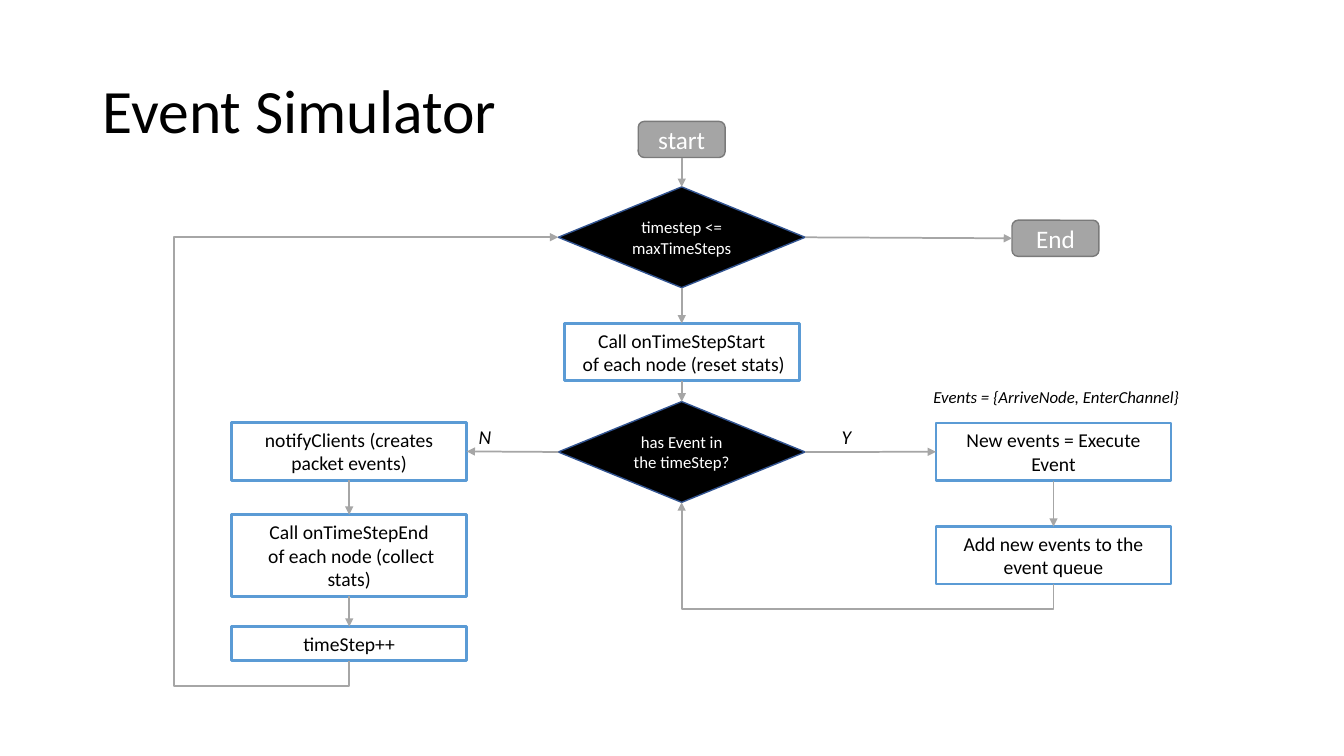
"""Build the Event Simulator flowchart slide."""
from dataclasses import dataclass

import lxml.etree
import pptx
import pptx.dml.color
import pptx.enum.shapes
import pptx.enum.text
import pptx.oxml.ns
import pptx.util

Cm = pptx.util.Cm
SHAPES = pptx.enum.shapes.MSO_SHAPE
CONNECTORS = pptx.enum.shapes.MSO_CONNECTOR
ALIGN = pptx.enum.text.PP_ALIGN
TOP, LEFT, BOTTOM, RIGHT = range(4)


@dataclass(frozen=True)
class Theme:
    """Hold the colours, font and type sizes."""
    font: str = "Calibri"
    dark: str = "000000"
    light: str = "FFFFFF"
    step_line: str = "5B9BD5"
    decision_line: str = "325491"
    terminal: str = "A5A5A5"
    terminal_line: str = "7A7A7A"
    arrow: str = "A6A6A6"
    title_size: int = 44
    terminal_size: int = 18
    step_size: int = 14
    small_size: int = 12


class Flowchart:
    """Draw flowchart elements on one slide in one style."""

    def __init__(self, slide, theme):
        self.slide = slide
        self.theme = theme

    def color(self, value):
        """Return an RGB colour."""
        return pptx.dml.color.RGBColor.from_string(value)

    def set_text(self, frame, text, size, color, align, italic=False):
        """Set and format text."""
        frame.text = text
        frame.word_wrap = True
        for paragraph in frame.paragraphs:
            paragraph.alignment = align
            for run in paragraph.runs:
                run.font.name = self.theme.font
                run.font.size = pptx.util.Pt(size)
                run.font.color.rgb = self.color(color)
                run.font.italic = italic

    def title(self, text, left, top, width, height):
        """Fill and place the title placeholder."""
        heading = self.slide.shapes.title
        heading.left, heading.top = Cm(left), Cm(top)
        heading.width, heading.height = Cm(width), Cm(height)
        self.set_text(heading.text_frame, text, self.theme.title_size, self.theme.dark, ALIGN.LEFT)
        heading.text_frame.vertical_anchor = pptx.enum.text.MSO_ANCHOR.MIDDLE
        heading.text_frame.paragraphs[0].line_spacing = 0.9

    def node(self, kind, text, center, top, size, fill, line, line_width, font_size, color):
        """Draw a node centred on a column."""
        width, height = size
        node = self.slide.shapes.add_shape(
            kind, Cm(center - width / 2), Cm(top), Cm(width), Cm(height))
        node.shadow.inherit = False
        node.fill.solid()
        node.fill.fore_color.rgb = self.color(fill)
        node.line.color.rgb = self.color(line)
        node.line.width = pptx.util.Pt(line_width)
        self.set_text(node.text_frame, text, font_size, color, ALIGN.CENTER)
        return node

    def step(self, text, center, top, height=1.45):
        """Draw a process box."""
        theme = self.theme
        return self.node(SHAPES.RECTANGLE, text, center, top, (5.92, height), theme.light,
                         theme.step_line, 2, theme.step_size, theme.dark)

    def decision(self, text, center, top):
        """Draw a decision diamond."""
        theme = self.theme
        return self.node(SHAPES.DIAMOND, text, center, top, (6.22, 2.54), theme.dark,
                         theme.decision_line, 1, theme.small_size, theme.light)

    def terminal(self, text, center, top):
        """Draw a start or end node."""
        theme = self.theme
        return self.node(SHAPES.ROUNDED_RECTANGLE, text, center, top, (2.19, 0.91), theme.terminal,
                         theme.terminal_line, 1, theme.terminal_size, theme.light)

    def label(self, text, left, top, width, height, size):
        """Add an italic label."""
        box = self.slide.shapes.add_textbox(Cm(left), Cm(top), Cm(width), Cm(height))
        self.set_text(box.text_frame, text, size, self.theme.dark, ALIGN.LEFT, italic=True)

    def style_arrow(self, connector):
        """Colour a connector and add its arrowhead."""
        connector.line.color.rgb = self.color(self.theme.arrow)
        connector.line.width = pptx.util.Pt(1.25)
        properties = connector._element.spPr
        outline = properties.find(pptx.oxml.ns.qn("a:ln"))
        lxml.etree.SubElement(outline, pptx.oxml.ns.qn("a:tailEnd"), type="triangle")
        lxml.etree.SubElement(properties, pptx.oxml.ns.qn("a:effectLst"))

    def arrow(self, source, source_side, target, target_side):
        """Join two nodes with a straight arrow."""
        connector = self.slide.shapes.add_connector(CONNECTORS.STRAIGHT, 0, 0, 0, 0)
        connector.begin_connect(source, source_side)
        connector.end_connect(target, target_side)
        self.style_arrow(connector)

    def loop(self, begin, end, preset, adjustments):
        """Draw an elbow arrow that leaves downwards, as a quarter-turned connector."""
        middle_x, middle_y = (begin[0] + end[0]) / 2, (begin[1] + end[1]) / 2
        corners = [int(value) for x, y in (begin, end)
                   for value in (middle_x + y - middle_y, middle_y - x + middle_x)]
        connector = self.slide.shapes.add_connector(CONNECTORS.ELBOW, *corners)
        properties = connector._element.spPr
        properties.find(pptx.oxml.ns.qn("a:xfrm")).set("rot", "5400000")
        geometry = properties.find(pptx.oxml.ns.qn("a:prstGeom"))
        geometry.set("prst", preset)
        guides = geometry.find(pptx.oxml.ns.qn("a:avLst"))
        for number, value in enumerate(adjustments, 1):
            lxml.etree.SubElement(guides, pptx.oxml.ns.qn("a:gd"),
                                  name=f"adj{number}", fmla=f"val {value}")
        self.style_arrow(connector)


def bottom_of(node):
    """Return the middle of a node's bottom side."""
    return node.left + node.width / 2, node.top + node.height


def left_of(node):
    """Return the middle of a node's left side."""
    return node.left, node.top + node.height / 2


def main():
    """Build and save the slide."""
    presentation = pptx.Presentation()
    presentation.slide_width, presentation.slide_height = Cm(33.87), Cm(19.05)
    slide = presentation.slides.add_slide(presentation.slide_layouts[5])
    theme = Theme()
    chart = Flowchart(slide, theme)
    left, middle, right = 8.8, 17.18, 26.55

    chart.title("Event Simulator", 2.33, 1.01, 29.21, 3.68)
    chart.label("Events = {ArriveNode, EnterChannel}", 23.27, 9.63, 8, 0.76, theme.small_size)

    start = chart.terminal("start", middle, 3.06)
    more_steps = chart.decision("timestep <= maxTimeSteps", middle, 4.71)
    step_start = chart.step("Call onTimeStepStart\n of each node (reset stats)", middle, 8.15)
    has_event = chart.decision("has Event in the timeStep?", middle, 10.12)
    end = chart.terminal("End", 26.6, 5.55)

    execute = chart.step("New events = Execute Event", right, 10.66)
    enqueue = chart.step("Add new events to the event queue", right, 13.27)

    notify = chart.step("notifyClients (creates packet events)", left, 10.65)
    step_end = chart.step("Call onTimeStepEnd\n of each node (collect stats)", left, 12.97, 2.06)
    increment = chart.step("timeStep++", left, 15.79, 0.86)

    for source, target in ((start, more_steps), (more_steps, step_start),
                           (step_start, has_event), (execute, enqueue),
                           (notify, step_end), (step_end, increment)):
        chart.arrow(source, BOTTOM, target, TOP)
    chart.arrow(more_steps, RIGHT, end, LEFT)
    chart.arrow(has_event, RIGHT, execute, LEFT)
    chart.arrow(has_event, LEFT, notify, RIGHT)
    chart.loop(bottom_of(enqueue), bottom_of(has_event), "bentConnector3", [-30800])
    chart.loop(bottom_of(increment), left_of(more_steps), "bentConnector4", [-6000, -83900])

    for answer, position in (("N", 11.81), ("Y", 20.96)):
        chart.label(answer, position, 10.59, 1.02, 0.86, theme.step_size)

    presentation.save("out.pptx")


if __name__ == "__main__":
    main()
